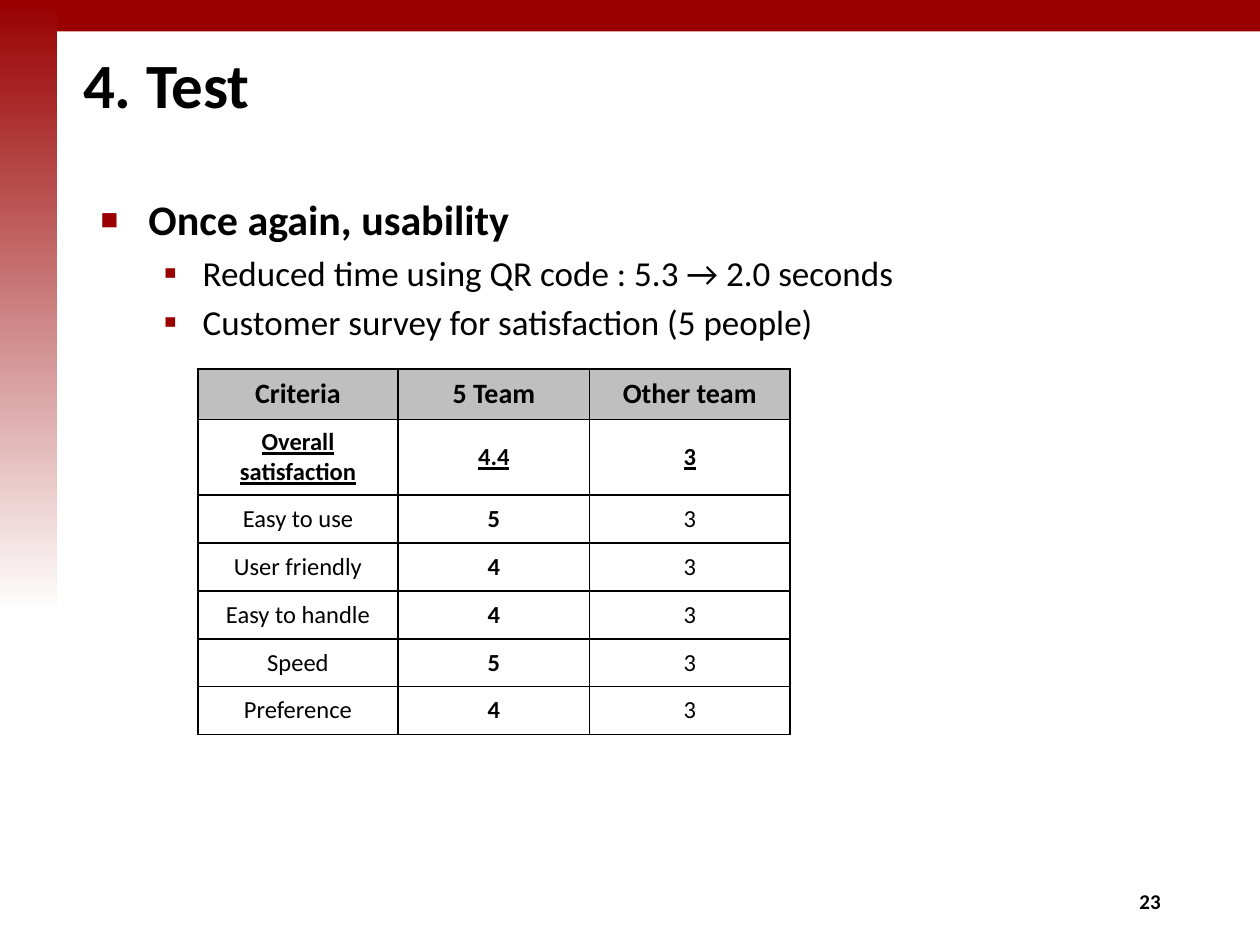
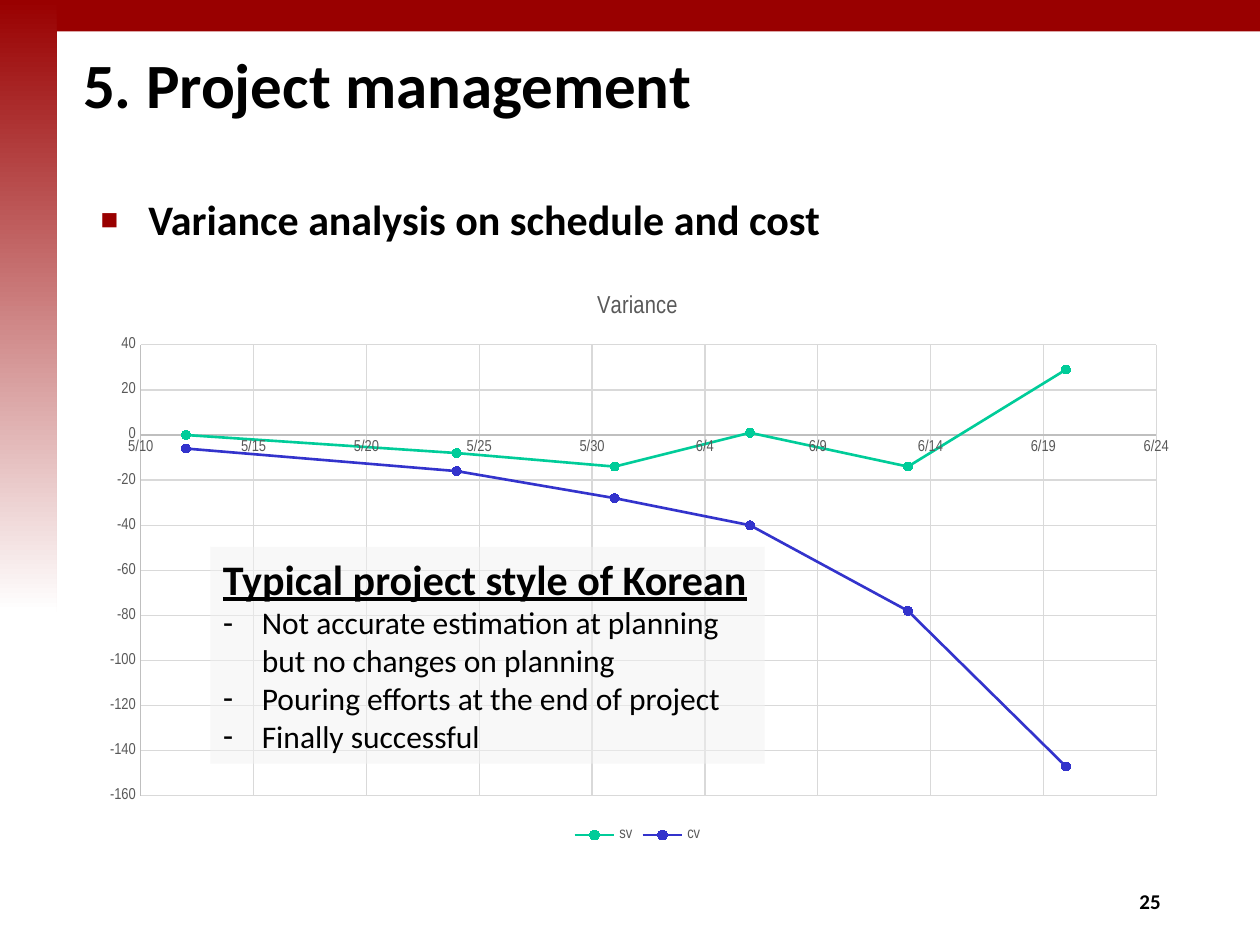
from lxml import etree
from pptx import Presentation
from pptx.chart.data import XyChartData
from pptx.dml.color import RGBColor
from pptx.enum.chart import (XL_CHART_TYPE as ChartType, XL_LEGEND_POSITION as LegendPosition,
                             XL_MARKER_STYLE as MarkerStyle, XL_TICK_MARK as TickMark)
from pptx.enum.shapes import MSO_SHAPE as ShapeType
from pptx.enum.text import MSO_ANCHOR as Anchor, PP_ALIGN as Align
from pptx.oxml import parse_xml
from pptx.oxml.ns import nsdecls, qn
from pptx.util import Inches, Pt

RED, BLACK, WHITE = "990000", "000000", "FFFFFF"
HEADER_GRAY, AXIS_GRAY, GRID_GRAY, LABEL_GRAY, NOTE_GRAY = "BFBFBF", "BFBFBF", "D9D9D9", "595959", "F2F2F2"
TEXT_FONT, CHART_FONT = "Calibri", "Arial Narrow"

# Outline levels: left margin, hanging indent, bullet, bullet percent, text size, bold
OUTLINE_LEVELS = [(0.38, 0.38, "■", 70, 24, True), (0.81, 0.31, "▪", 110, 20, False)]


def color(hex_string):
    return RGBColor.from_string(hex_string)


def style_font(font, size, hex_color=BLACK, name=TEXT_FONT, bold=False, underline=False):
    font.name, font.size = name, Pt(size)
    font.bold, font.underline = bold, underline
    font.color.rgb = color(hex_color)


def write(paragraph, text, align=Align.LEFT, space_before=0, **font_format):
    """Fill one paragraph with formatted text."""
    paragraph.text = text
    paragraph.alignment = align
    if space_before:
        paragraph.space_before = Pt(space_before)
    for run in paragraph.runs:
        style_font(run.font, **font_format)


def add_bullet(paragraph, character, margin, hanging, hex_color=BLACK, percent=100):
    properties = paragraph._p.get_or_add_pPr()
    properties.set("marL", str(Inches(margin)))
    properties.set("indent", str(-Inches(hanging)))
    for xml in (f'<a:buClr {nsdecls("a")}><a:srgbClr val="{hex_color}"/></a:buClr>',
                f'<a:buSzPct {nsdecls("a")} val="{percent * 1000}"/>',
                f'<a:buFont {nsdecls("a")} typeface="Arial"/>',
                f'<a:buChar {nsdecls("a")} char="{character}"/>'):
        properties.append(parse_xml(xml))


def add_borders(cell, hex_color=BLACK, width=1):
    properties = cell._tc.get_or_add_tcPr()
    for side in ("lnL", "lnR", "lnT", "lnB"):
        properties.append(parse_xml(
            f'<a:{side} {nsdecls("a")} w="{Pt(width)}"><a:solidFill>'
            f'<a:srgbClr val="{hex_color}"/></a:solidFill></a:{side}>'))


def next_paragraph(frame, index):
    return frame.add_paragraph() if index else frame.paragraphs[0]


class Deck:
    """Holds the presentation, its shared style and the current slide."""

    def __init__(self):
        self.presentation = Presentation()
        self.presentation.slide_width = Inches(10)
        self.presentation.slide_height = Inches(7.5)
        self.slide = None

    def new_slide(self, title, number):
        self.slide = self.presentation.slides.add_slide(self.presentation.slide_layouts[6])
        # Red bands
        self.rectangle(0, 0, 10, 0.25, RED)
        side_band = self.rectangle(0, 0, 0.45, 4.86, RED)
        side_band.fill.gradient()
        side_band.fill.gradient_angle = 270
        for stop, stop_color in zip(side_band.fill.gradient_stops, (RED, WHITE)):
            stop.color.rgb = color(stop_color)
        # Title and page number
        title_frame = self.text_frame(0.43, 0.25, 9.57, 0.83, Anchor.MIDDLE)
        title_frame.margin_left = Inches(0.23)
        write(title_frame.paragraphs[0], title, size=36, bold=True)
        number_frame = self.text_frame(7.06, 6.95, 2.25, 0.4, Anchor.MIDDLE)
        write(number_frame.paragraphs[0], str(number), align=Align.RIGHT, size=12, bold=True)

    def rectangle(self, left, top, width, height, fill):
        shape = self.slide.shapes.add_shape(
            ShapeType.RECTANGLE, Inches(left), Inches(top), Inches(width), Inches(height))
        shape.shadow.inherit = False
        shape.fill.solid()
        shape.fill.fore_color.rgb = color(fill)
        shape.line.fill.background()
        return shape

    def text_frame(self, left, top, width, height, anchor=Anchor.TOP):
        box = self.slide.shapes.add_textbox(Inches(left), Inches(top), Inches(width), Inches(height))
        box.text_frame.word_wrap = True
        box.text_frame.vertical_anchor = anchor
        return box.text_frame

    def outline(self, items):
        """Bulleted body text from (level, text) pairs."""
        frame = self.text_frame(0.7, 1.49, 8.64, 5.44)
        for index, (level, text) in enumerate(items):
            margin, hanging, character, percent, size, bold = OUTLINE_LEVELS[level]
            paragraph = next_paragraph(frame, index)
            add_bullet(paragraph, character, margin, hanging, RED, percent)
            write(paragraph, text, space_before=0.2 * size if index else 0, size=size, bold=bold)

    def table(self, left, top, widths, heights, rows):
        """Grid with a gray header, an underlined summary row and a bold middle column."""
        table = self.slide.shapes.add_table(
            len(rows), len(widths), Inches(left), Inches(top),
            Inches(sum(widths)), Inches(sum(heights))).table
        for column, width in zip(table.columns, widths):
            column.width = Inches(width)
        for row, height in zip(table.rows, heights):
            row.height = Inches(height)
        for row_index, row in enumerate(rows):
            for column_index, text in enumerate(row):
                cell = table.cell(row_index, column_index)
                add_borders(cell)
                if row_index == 0:
                    cell.fill.solid()
                    cell.fill.fore_color.rgb = color(HEADER_GRAY)
                else:
                    cell.fill.background()
                cell.vertical_anchor = Anchor.MIDDLE
                cell.margin_left = cell.margin_right = Inches(0.07)
                cell.margin_top = cell.margin_bottom = 0
                write(cell.text_frame.paragraphs[0], text, align=Align.CENTER,
                      size=14 if row_index else 16,
                      bold=row_index < 2 or column_index == 1, underline=row_index == 1)

    def scatter_chart(self, left, top, width, height, title, x_values, series_values, colors):
        data = XyChartData()
        for name, values in series_values.items():
            series = data.add_series(name)
            for x, y in zip(x_values, values):
                series.add_data_point(x, y)
        chart = self.slide.shapes.add_chart(
            ChartType.XY_SCATTER_LINES, Inches(left), Inches(top),
            Inches(width), Inches(height), data).chart
        style_font(chart.font, 10, name=CHART_FONT)
        # Title and legend
        chart.has_title = True
        write(chart.chart_title.text_frame.paragraphs[0], title, align=Align.CENTER,
              size=14, hex_color=LABEL_GRAY, name=CHART_FONT)
        chart.has_legend = True
        chart.legend.position = LegendPosition.BOTTOM
        chart.legend.include_in_layout = False
        style_font(chart.legend.font, 9, LABEL_GRAY, CHART_FONT)
        # Series
        chart.plots[0].vary_by_categories = False
        for series, series_color in zip(chart.plots[0].series, colors):
            series.smooth = False
            series.format.line.width = Pt(1.5)
            series.format.line.color.rgb = color(series_color)
            series.marker.style, series.marker.size = MarkerStyle.CIRCLE, 5
            series.marker.format.fill.solid()
            series.marker.format.fill.fore_color.rgb = color(series_color)
            series.marker.format.line.color.rgb = color(series_color)
        # Axes
        for axis in (chart.category_axis, chart.value_axis):
            axis.major_tick_mark = axis.minor_tick_mark = TickMark.NONE
            axis.has_major_gridlines = True
            style_font(axis.tick_labels.font, 9, LABEL_GRAY, CHART_FONT)
            for line, line_color in ((axis.format.line, AXIS_GRAY),
                                     (axis.major_gridlines.format.line, GRID_GRAY)):
                line.width = Pt(0.75)
                line.color.rgb = color(line_color)
        self.place_plot(chart, x=0.05, y=0.13, w=0.92, h=0.78)
        return chart

    def place_plot(self, chart, **fractions):
        """Fix the inner plot area as fractions of the chart."""
        plot_area = chart._chartSpace.chart.plotArea
        for layout in plot_area.findall(qn("c:layout")):
            plot_area.remove(layout)
        layout = etree.Element(qn("c:layout"))
        manual = etree.SubElement(layout, qn("c:manualLayout"))
        settings = {"layoutTarget": "inner", "xMode": "edge", "yMode": "edge", **fractions}
        for name, value in settings.items():
            etree.SubElement(manual, qn(f"c:{name}")).set("val", str(value))
        plot_area.insert(0, layout)

    def callout(self, left, top, width, height, heading, points):
        """Translucent note with an underlined heading and dashed points."""
        shape = self.rectangle(left, top, width, height, NOTE_GRAY)
        fill_color = shape._element.spPr.find(qn("a:solidFill"))[0]
        etree.SubElement(fill_color, qn("a:alpha")).set("val", "51000")
        frame = shape.text_frame
        frame.word_wrap = False
        frame.vertical_anchor = Anchor.TOP
        write(frame.paragraphs[0], heading, size=24, bold=True, underline=True)
        for point in points:
            paragraph = frame.add_paragraph()
            add_bullet(paragraph, "-", 0.31, 0.31)
            write(paragraph, point, size=18)


def build_test_slide(deck):
    deck.new_slide("4. Test", 23)
    deck.outline([(0, "Once again, usability"),
                  (1, "Reduced time using QR code : 5.3 → 2.0 seconds"),
                  (1, "Customer survey for satisfaction (5 people)")])
    survey = [("Criteria", "5 Team", "Other team"),
              ("Overall satisfaction", "4.4", "3"),
              ("Easy to use", "5", "3"),
              ("User friendly", "4", "3"),
              ("Easy to handle", "4", "3"),
              ("Speed", "5", "3"),
              ("Preference", "4", "3")]
    deck.table(1.57, 2.93, [1.59, 1.52, 1.59], [0.4, 0.6] + [0.38] * 5, survey)


def build_management_slide(deck):
    deck.new_slide("5. Project management", 25)
    deck.outline([(0, "Variance analysis on schedule and cost")])
    first_day = 42865  # serial date of 5/10
    review_days = [first_day + offset for offset in (2, 14, 21, 27, 34, 41)]
    chart = deck.scatter_chart(
        0.68, 2.14, 8.76, 4.59, "Variance", review_days,
        {"sv": [0, -8, -14, 1, -14, 29], "cv": [-6, -16, -28, -40, -78, -147]},
        ["00CC99", "3333CC"])
    for axis, low, high, step, number_format in (
            (chart.category_axis, first_day, first_day + 45, 5, "m/d"),
            (chart.value_axis, -160, 40, 20, "General")):
        axis.minimum_scale, axis.maximum_scale, axis.major_unit = low, high, step
        axis.tick_labels.number_format = number_format
        axis.tick_labels.number_format_is_linked = False
    deck.callout(1.67, 4.34, 4.4, 1.72, "Typical project style of Korean",
                 ["Not accurate estimation at planning\vbut no changes on planning",
                  "Pouring efforts at the end of project",
                  "Finally successful"])


def main():
    deck = Deck()
    build_test_slide(deck)
    build_management_slide(deck)
    deck.presentation.save("out.pptx")


if __name__ == "__main__":
    main()
